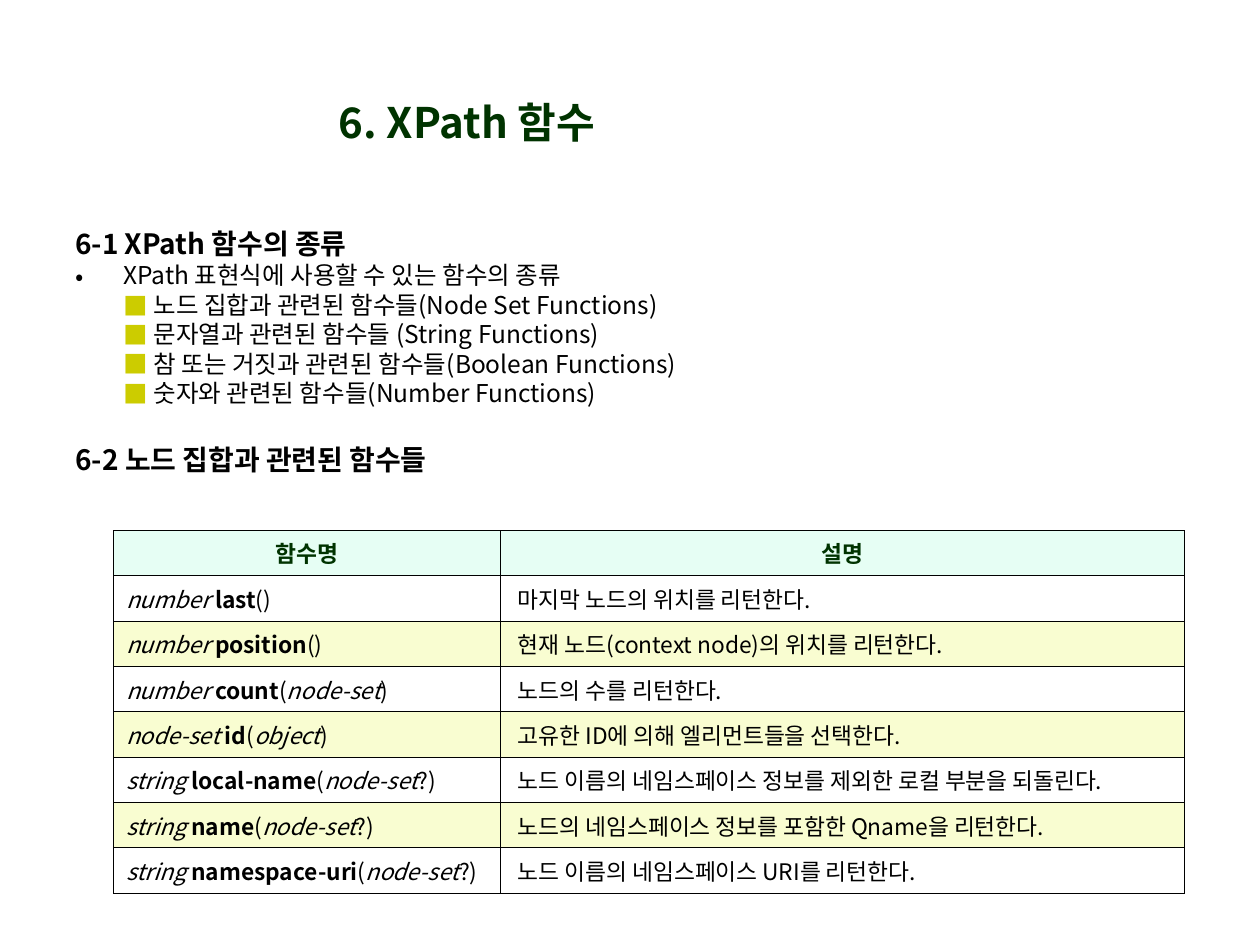
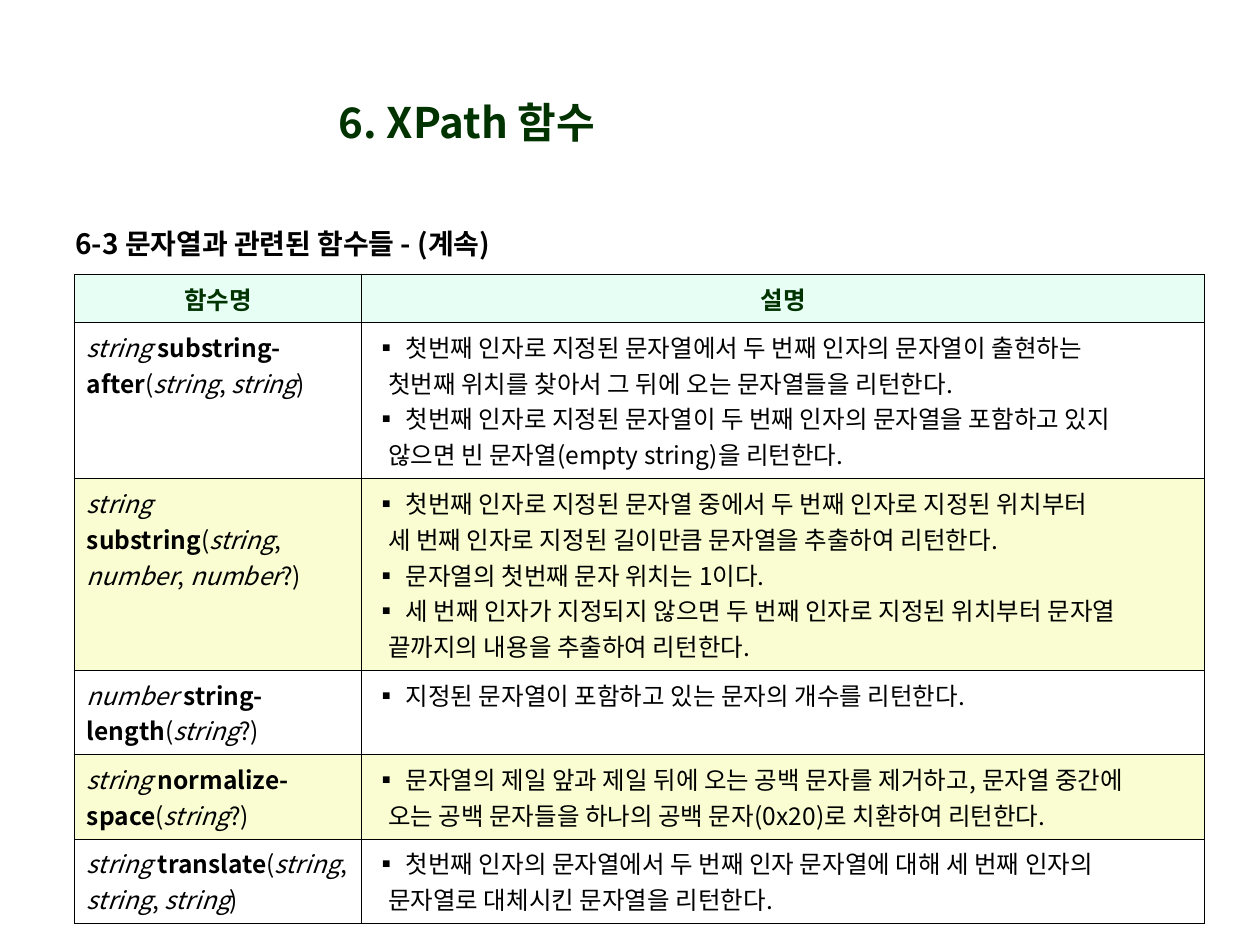
"""Build two slides on XPath functions, each with a heading and a table."""
from pptx import Presentation
from pptx import util as u
from pptx.dml.color import RGBColor
from pptx.enum import text
from pptx.oxml import parse_xml
from pptx.oxml.ns import nsdecls


class Theme:
    font = "Noto Sans CJK KR"
    green, black, olive = "003300", "000000", "CCCC00"
    mint, cream = "E6FEF4", "F9FDD1"
    title, head, body, small = 24, 16, 14, 13
    rule = 0.45


def write(para, runs, mark=None, tint=Theme.black, left=0, hang=0, gap=0, align=None):
    props = para._p.get_or_add_pPr()
    props.set("marL", str(u.Inches(left)))
    props.set("indent", str(-u.Inches(hang)))
    if mark:
        for xml in (
            f'<a:buClr {nsdecls("a")}><a:srgbClr val="{tint}"/></a:buClr>',
            f'<a:buFont {nsdecls("a")} typeface="{Theme.font}"/>',
            f'<a:buChar {nsdecls("a")} char="{mark}"/>',
        ):
            props.append(parse_xml(xml))
    para.alignment = align
    para.space_before = u.Pt(gap)
    for words, look in runs:
        run = para.add_run()
        run.text = words
        look = {"name": Theme.font, "bold": False, "italic": False, **look}
        hue = look.pop("hue", Theme.black)
        for key, value in look.items():
            setattr(run.font, key, value)
        run.font.color.rgb = RGBColor.from_string(hue)
        run._r.get_or_add_rPr().append(
            parse_xml(f'<a:ea {nsdecls("a")} typeface="{Theme.font}"/>'))


def frame(slide, box, anchor):
    area = slide.shapes.add_textbox(*map(u.Inches, box)).text_frame
    area.word_wrap = True
    area.vertical_anchor = anchor
    return area


center = text.PP_ALIGN.CENTER
styles = {
    "head": ({"size": u.Pt(Theme.head), "bold": True}, {}),
    "next": ({"size": u.Pt(Theme.head), "bold": True}, {"gap": 20.3}),
    "list": ({"size": u.Pt(Theme.body)}, {"mark": "•", "left": 0.38, "hang": 0.38}),
    "item": ({"size": u.Pt(Theme.body)},
             {"mark": "■", "tint": Theme.olive, "left": 0.62, "hang": 0.24}),
}
cells = {
    "plain": {"left": 0.04},
    "point": {"mark": "▪", "left": 0.25, "hang": 0.25},
    "more": {"left": 0.11},
}

pages = [
    {
        "box": (0.5, 1.75, 9.07, 2.39),
        "lines": [
            ("head", "6-1 XPath 함수의 종류"),
            ("list", "XPath 표현식에 사용할 수 있는 함수의 종류"),
            ("item", "노드 집합과 관련된 함수들(Node Set Functions)"),
            ("item", "문자열과 관련된 함수들 (String Functions)"),
            ("item", "참 또는 거짓과 관련된 함수들(Boolean Functions)"),
            ("item", "숫자와 관련된 함수들(Number Functions)"),
            ("next", "6-2 노드 집합과 관련된 함수들"),
        ],
        "spot": (0.9, 4.21),
        "size": Theme.small,
        "cols": (3.07, 5.43),
        "high": [0.36] * 8,
        "rows": [
            ("number last()", [("plain", "마지막 노드의 위치를 리턴한다.")]),
            ("number position()", [("plain", "현재 노드(context node)의 위치를 리턴한다.")]),
            ("number count(node-set)", [("plain", "노드의 수를 리턴한다.")]),
            ("node-set id(object)", [("plain", "고유한 ID에 의해 엘리먼트들을 선택한다.")]),
            ("string local-name(node-set?)",
             [("plain", "노드 이름의 네임스페이스 정보를 제외한 로컬 부분을 되돌린다.")]),
            ("string name(node-set?)",
             [("plain", "노드의 네임스페이스 정보를 포함한 Qname을 리턴한다.")]),
            ("string namespace-uri(node-set?)",
             [("plain", "노드 이름의 네임스페이스 URI를 리턴한다.")]),
        ],
    },
    {
        "box": (0.5, 1.75, 9.07, 0.43),
        "lines": [("head", "6-3 문자열과 관련된 함수들 - (계속)")],
        "spot": (0.59, 2.18),
        "size": Theme.body,
        "cols": (2.28, 6.69),
        "high": [0.38, 1.24, 1.52, 0.67, 0.67, 0.67],
        "rows": [
            ("string substring-after(string, string)", [
                ("point", "첫번째 인자로 지정된 문자열에서 두 번째 인자의 문자열이 출현하는"),
                ("more", "첫번째 위치를 찾아서 그 뒤에 오는 문자열들을 리턴한다."),
                ("point", "첫번째 인자로 지정된 문자열이 두 번째 인자의 문자열을 포함하고 있지"),
                ("more", "않으면 빈 문자열(empty string)을 리턴한다."),
            ]),
            ("string substring(string, number, number?)", [
                ("point", "첫번째 인자로 지정된 문자열 중에서 두 번째 인자로 지정된 위치부터"),
                ("more", "세 번째 인자로 지정된 길이만큼 문자열을 추출하여 리턴한다."),
                ("point", "문자열의 첫번째 문자 위치는 1이다."),
                ("point", "세 번째 인자가 지정되지 않으면 두 번째 인자로 지정된 위치부터 문자열"),
                ("more", "끝까지의 내용을 추출하여 리턴한다."),
            ]),
            ("number string-length(string?)", [
                ("point", "지정된 문자열이 포함하고 있는 문자의 개수를 리턴한다."),
            ]),
            ("string normalize-space(string?)", [
                ("point", "문자열의 제일 앞과 제일 뒤에 오는 공백 문자를 제거하고, 문자열 중간에"),
                ("more", "오는 공백 문자들을 하나의 공백 문자(0x20)로 치환하여 리턴한다."),
            ]),
            ("string translate(string, string, string)", [
                ("point", "첫번째 인자의 문자열에서 두 번째 인자 문자열에 대해 세 번째 인자의"),
                ("more", "문자열로 대체시킨 문자열을 리턴한다."),
            ]),
        ],
    },
]

deck = Presentation()
deck.slide_width, deck.slide_height = u.Inches(10), u.Inches(7.5)

for page in pages:
    slide = deck.slides.add_slide(deck.slide_layouts[6])

    area = frame(slide, page["box"], text.MSO_ANCHOR.TOP)
    for row, (style, words) in enumerate(page["lines"]):
        look, form = styles[style]
        para = area.add_paragraph() if row else area.paragraphs[0]
        write(para, [(words, look)], **form)

    area = frame(slide, (1.69, 0.34, 4.03, 1.25), text.MSO_ANCHOR.MIDDLE)
    look = {"size": u.Pt(Theme.title), "bold": True, "hue": Theme.green}
    write(area.paragraphs[0], [("6. XPath 함수", look)], align=center)

    dims = (*page["spot"], sum(page["cols"]), sum(page["high"]))
    grid = slide.shapes.add_table(
        len(page["high"]), 2, *map(u.Inches, dims)).table
    grid.first_row = grid.horz_banding = False
    for col, wide in zip(grid.columns, page["cols"]):
        col.width = u.Inches(wide)
    for row, high in zip(grid.rows, page["high"]):
        row.height = u.Inches(high)

    size = {"size": u.Pt(page["size"])}
    look = {**size, "bold": True, "hue": Theme.green}
    for col, words in enumerate(("함수명", "설명")):
        write(grid.cell(0, col).text_frame.paragraphs[0], [(words, look)], align=center)

    bold, slant = {**size, "bold": True}, {**size, "italic": True}
    for row, (call, notes) in enumerate(page["rows"], 1):
        kind, rest = call.split(" ", 1)
        name, args = rest.rstrip(")").split("(")
        runs = [(kind + " ", slant), (name, bold), ("(", size)]
        for num, arg in enumerate(args.split(", ") if args else []):
            if num:
                runs.append((", ", size))
            runs.append((arg.rstrip("?"), slant))
        runs.append(("?)" if args.endswith("?") else ")", size))
        write(grid.cell(row, 0).text_frame.paragraphs[0], runs)

        area = grid.cell(row, 1).text_frame
        for num, (style, words) in enumerate(notes):
            para = area.add_paragraph() if num else area.paragraphs[0]
            write(para, [(words, size)], **cells[style])

    for row in range(len(page["high"])):
        for col in range(2):
            cell = grid.cell(row, col)
            props = cell._tc.get_or_add_tcPr()
            for side in ("lnL", "lnR", "lnT", "lnB"):
                props.append(parse_xml(
                    f'<a:{side} {nsdecls("a")} w="{u.Pt(Theme.rule)}"><a:solidFill>'
                    f'<a:srgbClr val="{Theme.black}"/></a:solidFill></a:{side}>'))
            if row and row % 2:
                cell.fill.background()
            else:
                cell.fill.solid()
                tint = Theme.cream if row else Theme.mint
                cell.fill.fore_color.rgb = RGBColor.from_string(tint)

deck.save("out.pptx")
